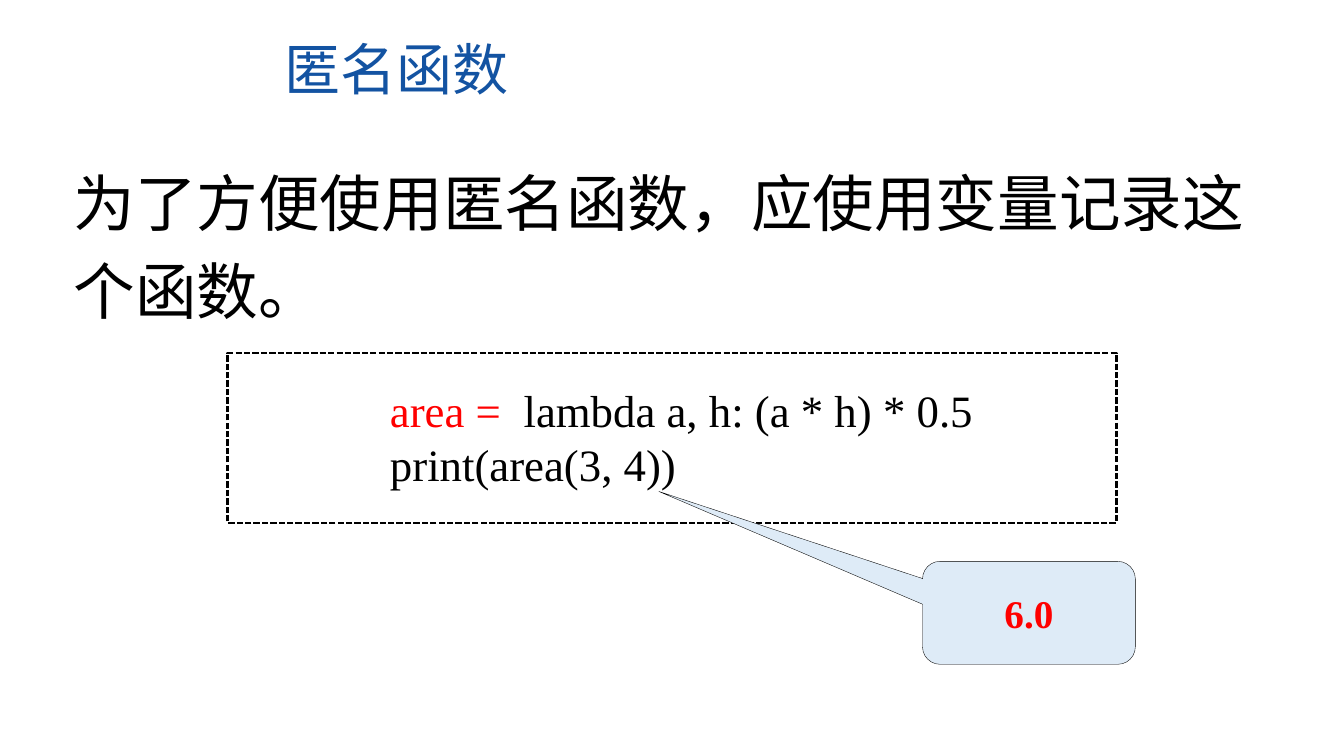
from lxml import etree
from pptx import Presentation
from pptx.dml.color import RGBColor
from pptx.enum.dml import MSO_LINE
from pptx.enum.shapes import MSO_SHAPE
from pptx.enum.text import MSO_ANCHOR, PP_ALIGN
from pptx.oxml.ns import qn
from pptx.util import Pt

RECTANGLE = MSO_SHAPE.RECTANGLE
CALLOUT = MSO_SHAPE.ROUNDED_RECTANGULAR_CALLOUT
SHORT_DASH = MSO_LINE.SQUARE_DOT
MIDDLE = MSO_ANCHOR.MIDDLE
CENTER = PP_ALIGN.CENTER

BLUE = RGBColor(0x13, 0x53, 0xA2)
PALE_BLUE = RGBColor(0xDE, 0xEB, 0xF7)
RED = RGBColor(0xFF, 0x00, 0x00)
BLACK = RGBColor(0x00, 0x00, 0x00)

CHINESE_FONT = "Noto Sans CJK SC"
CODE_FONT = "Times New Roman"


def add_span(para, text, font, size, color, bold=False):
    span = para.add_run()
    span.text = text
    span.font.name = font
    span.font.size = Pt(size)
    span.font.bold = bold
    span.font.color.rgb = color
    # East Asian characters take their own typeface
    east_asian = etree.SubElement(span.font._element, qn("a:ea"))
    east_asian.set("typeface", font)


def add_text(page, place, lines, font, size, spacing=1.0):
    """Add a text box; each line is a list of (text, color) spans."""
    frame = page.shapes.add_textbox(*map(Pt, place)).text_frame
    frame.word_wrap = True
    for index, spans in enumerate(lines):
        para = frame.add_paragraph() if index else frame.paragraphs[0]
        para.line_spacing = spacing
        for text, color in spans:
            add_span(para, text, font, size, color)


def add_outlined(page, kind, place, line_width):
    shape = page.shapes.add_shape(kind, *map(Pt, place))
    shape.shadow.inherit = False
    shape.fill.background()
    shape.line.color.rgb = BLACK
    shape.line.width = Pt(line_width)
    return shape


def add_result_callout(page, place, text):
    callout = add_outlined(page, CALLOUT, place, 0.25)
    callout.fill.solid()
    callout.fill.fore_color.rgb = PALE_BLUE
    # Pointer tip relative to the centre, then corner radius
    for index, value in enumerate((-1.74, -1.18, 0.17)):
        callout.adjustments[index] = value
    frame = callout.text_frame
    frame.vertical_anchor = MIDDLE
    para = frame.paragraphs[0]
    para.alignment = CENTER
    add_span(para, text, CODE_FONT, 28, RED, bold=True)


def main():
    deck = Presentation()
    deck.slide_width, deck.slide_height = Pt(960), Pt(540)
    page = deck.slides.add_slide(deck.slide_layouts[6])

    # Title and explanation
    add_text(page, (196.5, 21, 423.5, 55.5), [[("匿名函数", BLUE)]], CHINESE_FONT, 40)
    add_text(page, (45.5, 103.5, 885, 129),
             [[("为了方便使用匿名函数，应使用变量记录这个函数。", BLACK)]],
             CHINESE_FONT, 44, spacing=1.2)

    # Code in a dashed frame
    frame = add_outlined(page, RECTANGLE, (162.5, 252, 635, 121.5), 1.5)
    frame.line.dash_style = SHORT_DASH
    add_text(page, (271.5, 270, 432, 85),
             [[("area =  ", RED), ("lambda a, h: (a * h) * 0.5", BLACK)],
              [("print(area(3, 4))", BLACK)]],
             CODE_FONT, 32)

    # Printed result
    add_result_callout(page, (659, 401, 152, 73.5), "6.0")

    deck.save("out.pptx")


if __name__ == "__main__":
    main()
